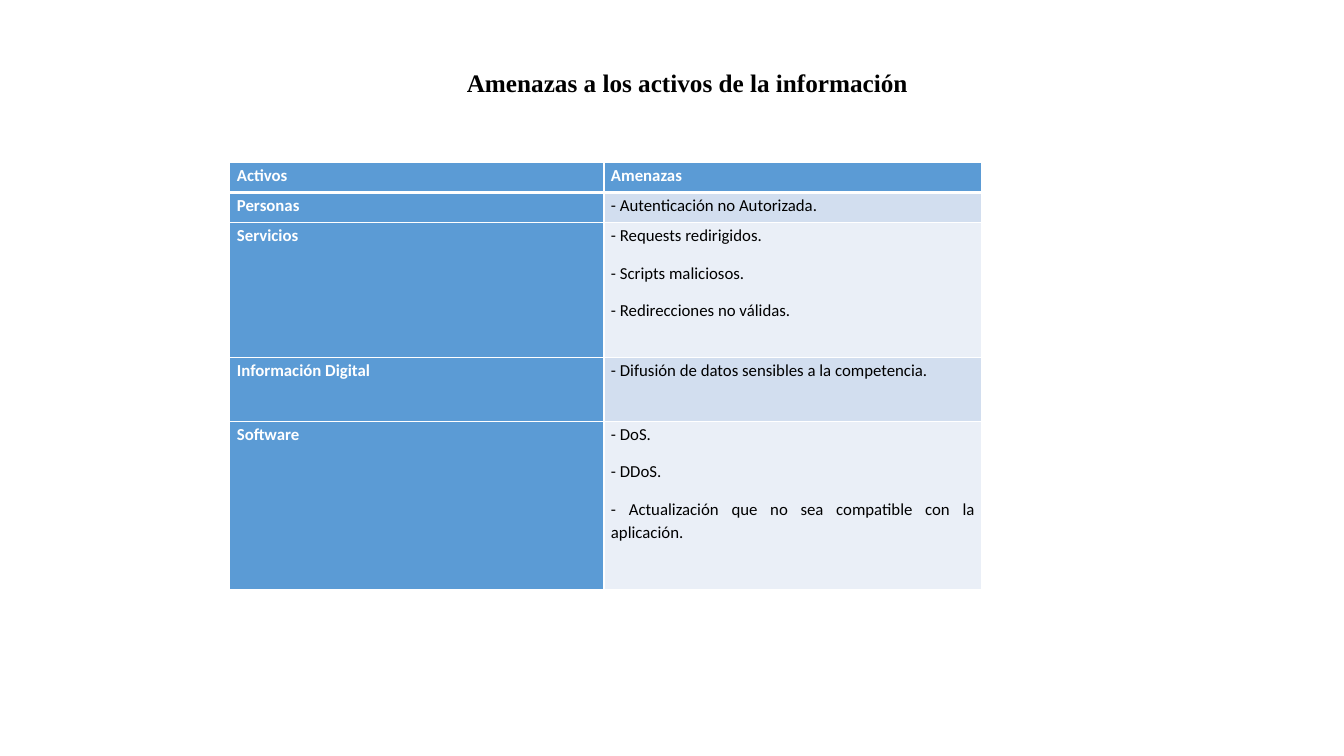
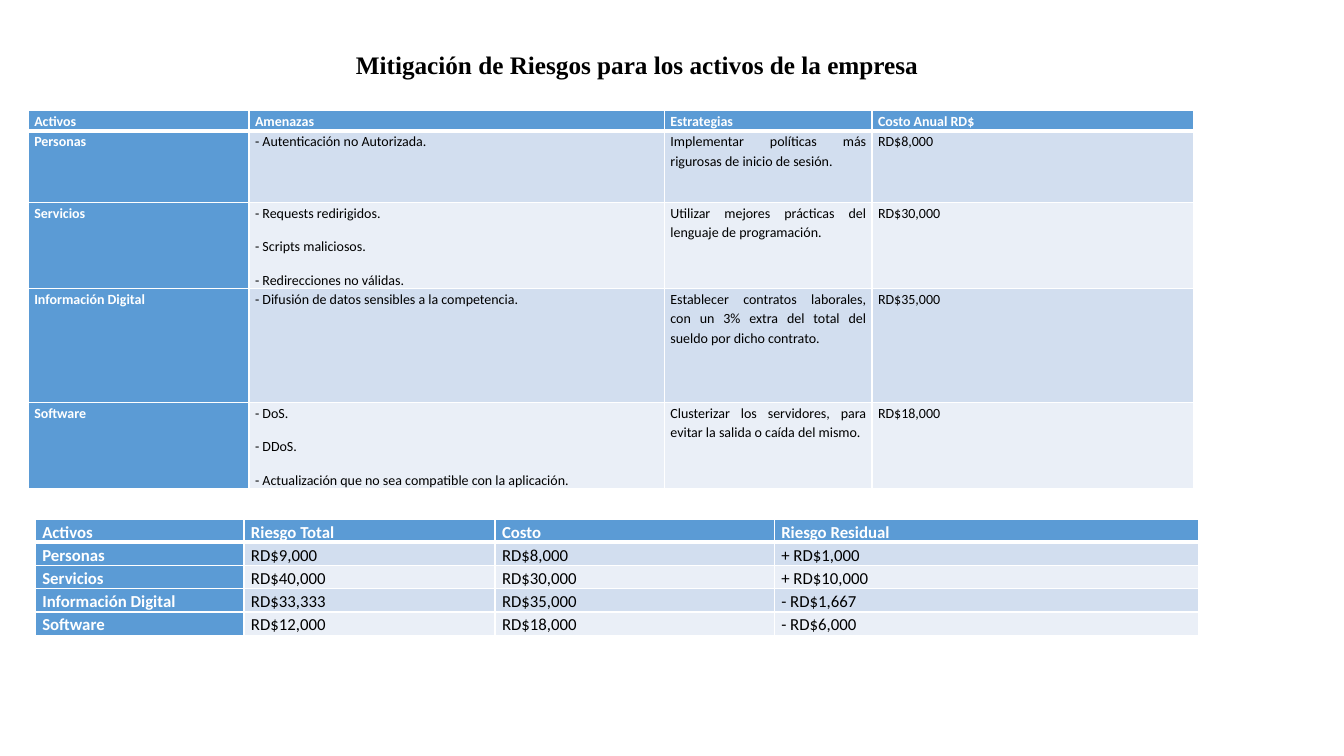
"""Build two slides on threats to information assets and how to mitigate them."""
import dataclasses

import lxml.etree
import pptx
import pptx.dml.color
import pptx.enum.text
import pptx.oxml.ns
import pptx.util

PX = 9144
SIDES = ("lnL", "lnR", "lnT", "lnB")


@dataclasses.dataclass(frozen=True)
class Theme:
    title_font: str = "Times New Roman"
    body_font: str = "Calibri"
    title_size: int = 18
    body_size: int = 12
    small_size: int = 10
    accent: str = "5B9BD5"
    bands: tuple = ("D2DEEF", "EAEFF7")
    white: str = "FFFFFF"
    black: str = "000000"
    thin_line: int = 1
    thick_line: int = 3


THEME = Theme()

ASSETS = ["Personas", "Servicios", "Información Digital", "Software"]
THREATS = [
    "- Autenticación no Autorizada.",
    "- Requests redirigidos.\n- Scripts maliciosos.\n- Redirecciones no válidas.",
    "- Difusión de datos sensibles a la competencia.",
    "- DoS.\n- DDoS.\n- Actualización que no sea compatible con la aplicación.",
]
STRATEGIES = [
    "Implementar políticas más rigurosas de inicio de sesión.",
    "Utilizar mejores prácticas del lenguaje de programación.",
    "Establecer contratos laborales, con un 3% extra del total del sueldo por dicho contrato.",
    "Clusterizar los servidores, para evitar la salida o caída del mismo.",
]
COSTS = ["RD$8,000", "RD$30,000", "RD$35,000", "RD$18,000"]
TOTAL_RISKS = ["RD$9,000", "RD$40,000", "RD$33,333", "RD$12,000"]
RESIDUAL_RISKS = ["+ RD$1,000", "+ RD$10,000", "- RD$1,667", "- RD$6,000"]

SLIDES = [
    {
        "title": "Amenazas a los activos de la información",
        "title_box": (453, 62, 462, 40),
        "tables": [
            {
                "corner": (228, 161),
                "widths": (371, 375),
                "heights": (30, 30, 134, 63, 167),
                "size": THEME.body_size,
                "margin": 7,
                "columns": {"Activos": ASSETS, "Amenazas": THREATS},
            },
        ],
    },
    {
        "title": "Mitigación de Riesgos para los activos de la empresa",
        "title_box": (343, 44, 584, 40),
        "tables": [
            {
                "corner": (28, 110),
                "widths": (219, 412, 206, 319),
                "heights": (20, 71, 85, 113, 85),
                "size": THEME.small_size,
                "margin": 6,
                "columns": {
                    "Activos": ASSETS,
                    "Amenazas": THREATS,
                    "Estrategias": STRATEGIES,
                    "Costo Anual RD$": COSTS,
                },
            },
            {
                "corner": (35, 515),
                "widths": (207, 249, 277, 421),
                "heights": (23,) * 5,
                "size": THEME.body_size,
                "margin": 7,
                "columns": {
                    "Activos": ASSETS,
                    "Riesgo Total": TOTAL_RISKS,
                    "Costo": COSTS,
                    "Riesgo Residual": RESIDUAL_RISKS,
                },
            },
        ],
    },
]


def set_font(paragraph, name, size, color, bold):
    """Set the font that all runs of a paragraph share."""
    font = paragraph.font
    font.name = name
    font.size = pptx.util.Pt(size)
    font.bold = bold
    font.color.rgb = pptx.dml.color.RGBColor.from_string(color)


def style_cell(cell, row, column, size, margin):
    """Give a cell its borders, fill, margins and text format."""
    qualify = pptx.oxml.ns.qn
    properties = cell._tc.get_or_add_tcPr()
    for side in SIDES:
        thick = (row, side) in ((0, "lnB"), (1, "lnT"))
        width = THEME.thick_line if thick else THEME.thin_line
        line = lxml.etree.SubElement(
            properties, qualify(f"a:{side}"), w=str(pptx.util.Pt(width)))
        fill = lxml.etree.SubElement(line, qualify("a:solidFill"))
        lxml.etree.SubElement(fill, qualify("a:srgbClr"), val=THEME.white)
    heading = row == 0 or column == 0
    color = THEME.accent if heading else THEME.bands[(row - 1) % 2]
    cell.fill.solid()
    cell.fill.fore_color.rgb = pptx.dml.color.RGBColor.from_string(color)
    cell.margin_left = cell.margin_right = margin * PX
    cell.margin_top = cell.margin_bottom = 0
    for paragraph in cell.text_frame.paragraphs:
        paragraph.alignment = pptx.enum.text.PP_ALIGN.JUSTIFY
        paragraph.line_spacing = 1.15
        paragraph.space_after = pptx.util.Pt(10)
        text_color = THEME.white if heading else THEME.black
        set_font(paragraph, THEME.body_font, size, text_color, heading)


deck = pptx.Presentation()
deck.slide_width, deck.slide_height = 1333 * PX, 750 * PX
title_only = deck.slide_layouts[5]

for content in SLIDES:
    page = deck.slides.add_slide(title_only)
    title = page.shapes.title
    title.left, title.top, title.width, title.height = (
        length * PX for length in content["title_box"])
    frame = title.text_frame
    frame.text = content["title"]
    frame.word_wrap = False
    frame.auto_size = pptx.enum.text.MSO_AUTO_SIZE.SHAPE_TO_FIT_TEXT
    frame.vertical_anchor = pptx.enum.text.MSO_ANCHOR.TOP
    paragraph = frame.paragraphs[0]
    paragraph.alignment = pptx.enum.text.PP_ALIGN.LEFT
    set_font(paragraph, THEME.title_font, THEME.title_size, THEME.black, True)

    for grid in content["tables"]:
        left, top = grid["corner"]
        widths, heights = grid["widths"], grid["heights"]
        table = page.shapes.add_table(
            len(heights), len(widths), left * PX, top * PX,
            sum(widths) * PX, sum(heights) * PX).table
        table.first_col = True
        table.horz_banding = False
        for row, height in enumerate(heights):
            table.rows[row].height = height * PX
        for column, (heading, values) in enumerate(grid["columns"].items()):
            table.columns[column].width = widths[column] * PX
            for row, text in enumerate([heading, *values]):
                cell = table.cell(row, column)
                cell.text = text
                style_cell(cell, row, column, grid["size"], grid["margin"])

deck.save("out.pptx")
